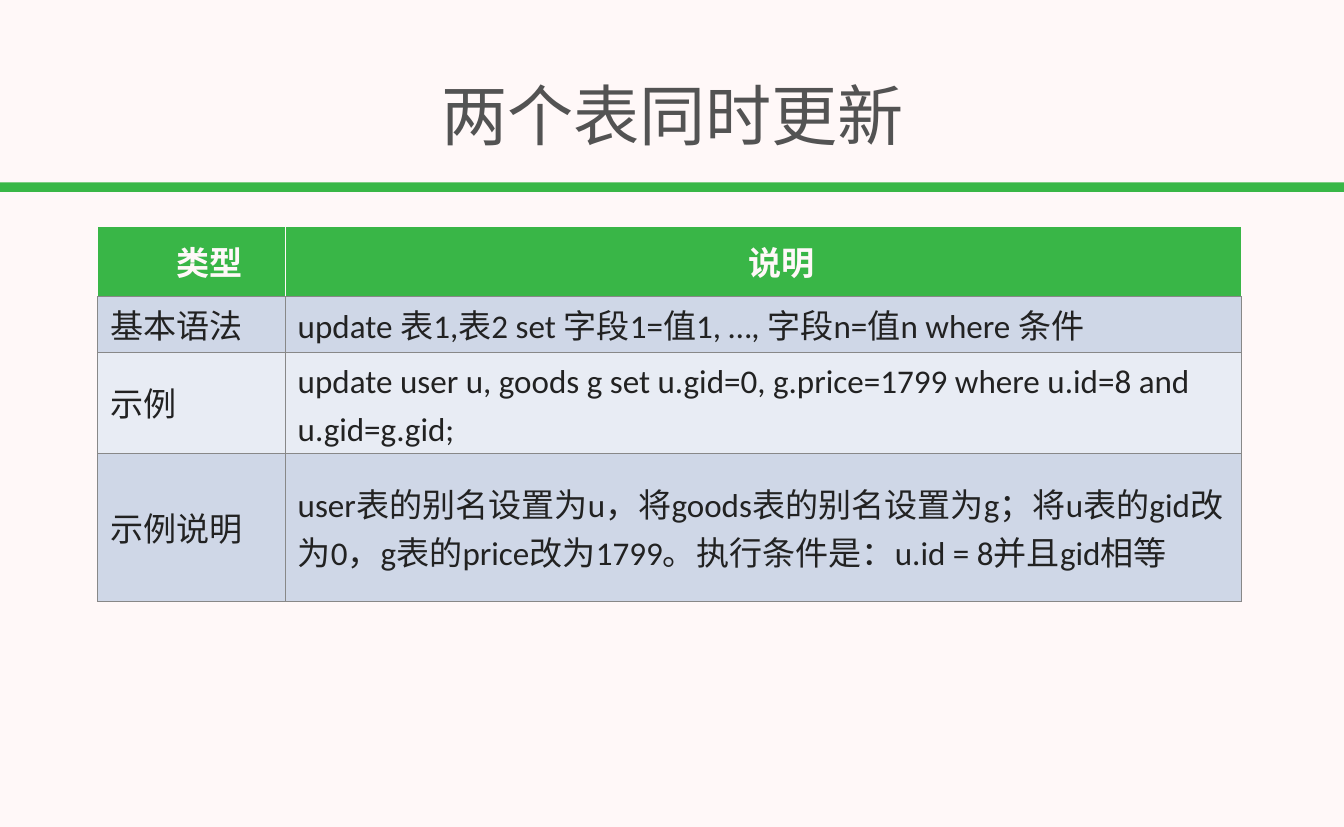
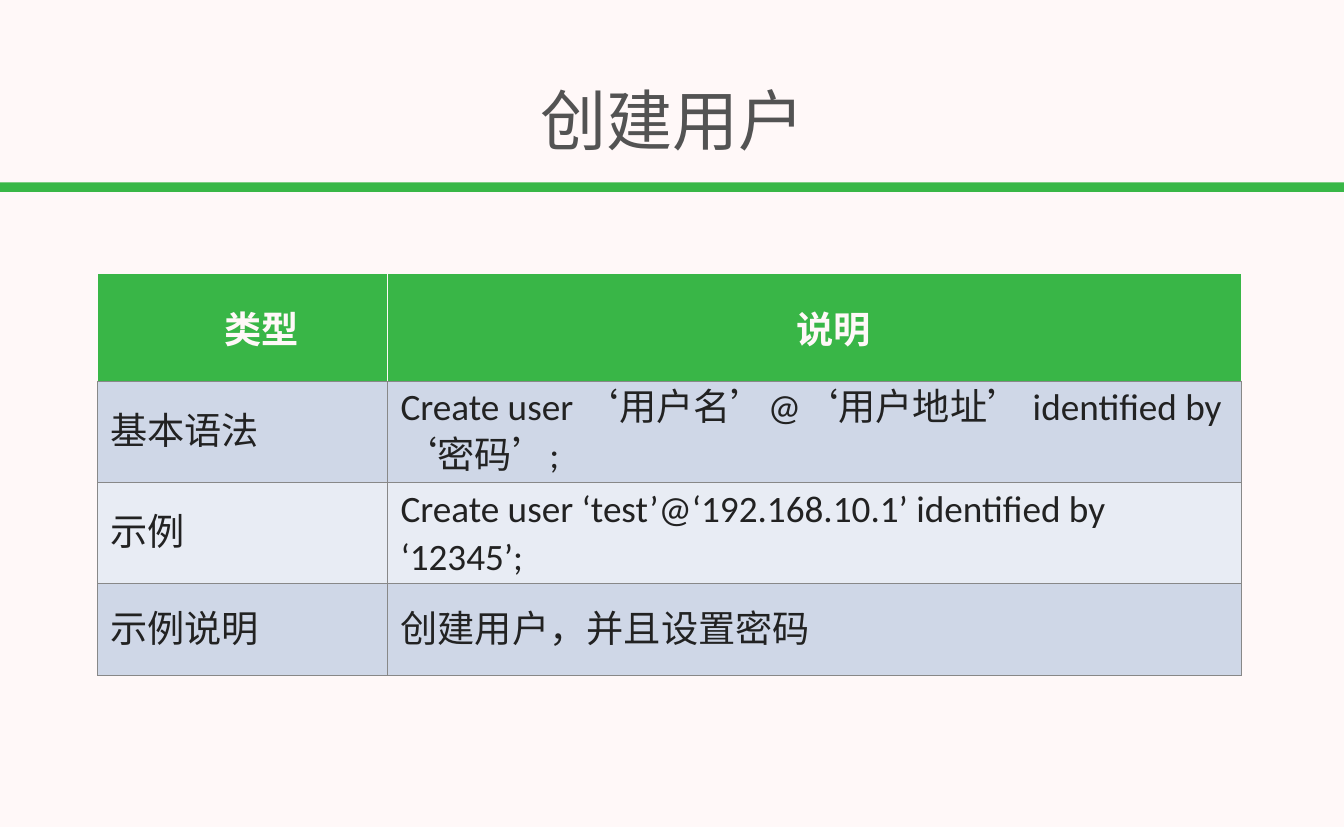
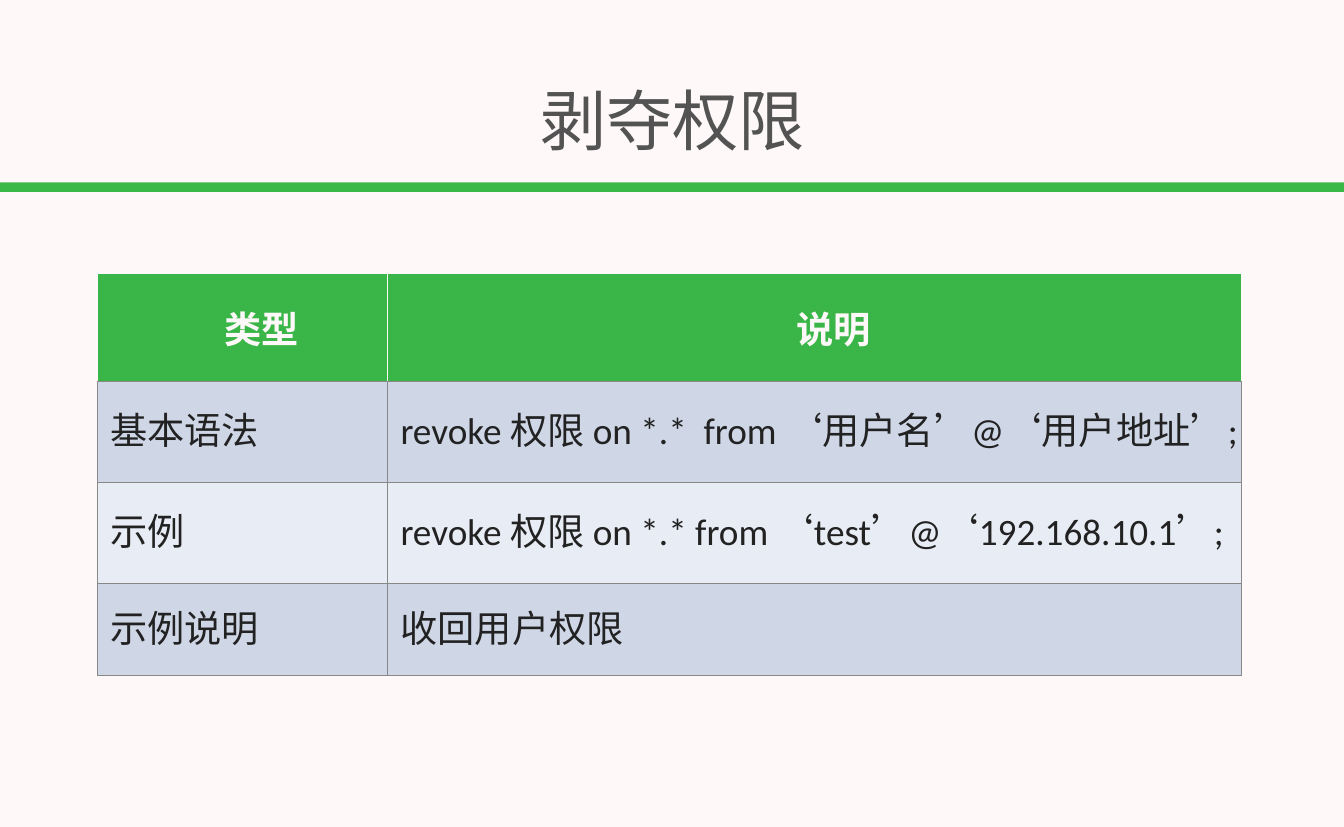
"""Build three slides, each with a title, a green band and a syntax table."""
from pptx import Presentation
from pptx import util as u
from pptx.dml.color import RGBColor
from pptx.enum import shapes, text
from pptx.oxml.ns import qn
from lxml import etree

Cm, Pt = u.Cm, u.Pt
HUES = {
    "page": "FFF8F8",
    "band": "39B747",
    "head": "39B647",
    "title": "535353",
    "ink": "222222",
    "rule": "888888",
    "odd": "CFD7E7",
    "even": "E8ECF4",
}
LABELS = ["基本语法", "示例", "示例说明"]
WIDE, HIGH = 45.87, 28.22
LEFT, SPAN = 3.33, 39.04

TIGHT = {"top": 7.72, "split": 6.4, "rows": [2.41, 1.88, 2.06, 2.06], "size": 32}
LOOSE = {"top": 9.32, "split": 9.91, "rows": [3.68, 2.84, 3.15, 3.15], "size": 36}

PAGES = [
    ("两个表同时更新", 2.08, TIGHT, [
        "update 表1,表2 set 字段1=值1, …, 字段n=值n where 条件",
        "update user u, goods g set u.gid=0, g.price=1799 where u.id=8 and u.gid=g.gid;",
        "user表的别名设置为u，将goods表的别名设置为g；将u表的gid改为0，"
        "g表的price改为1799。执行条件是：u.id = 8并且gid相等",
    ]),
    ("创建用户", 2.24, LOOSE, [
        "Create user ‘用户名’@‘用户地址’ identified by ‘密码’;",
        "Create user ‘test’@‘192.168.10.1’ identified by ‘12345’;",
        "创建用户，并且设置密码",
    ]),
    ("剥夺权限", 2.24, LOOSE, [
        "revoke 权限 on *.*  from ‘用户名’@‘用户地址’;",
        "revoke 权限 on *.* from ‘test’@‘192.168.10.1’;",
        "收回用户权限",
    ]),
]


def hue(name):
    return RGBColor.from_string(HUES[name])


def write(frame, words, size, ink, bold=False, align=text.PP_ALIGN.LEFT,
          pitch=None, indent=None):
    para = frame.paragraphs[0]
    para.alignment = align
    if pitch:
        para.line_spacing = Pt(pitch)
    if indent:
        props = para._p.get_or_add_pPr()
        props.set("marL", "0")
        props.set("indent", str(Cm(indent)))
    run = para.add_run()
    run.text = words
    run.font.name = "Calibri"
    run.font.size = Pt(size)
    run.font.bold = bold
    run.font.color.rgb = hue(ink)


def inset(box, side, end):
    box.margin_left = box.margin_right = Cm(side)
    box.margin_top = box.margin_bottom = Cm(end)


class Deck:
    def __init__(self):
        self.show = Presentation()
        self.show.slide_width = Cm(WIDE)
        self.show.slide_height = Cm(HIGH)
        fill = self.show.slide_master.background.fill
        fill.solid()
        fill.fore_color.rgb = hue("page")
        self.slide = None

    def page(self, words, top):
        self.slide = self.show.slides.add_slide(self.show.slide_layouts[5])
        self.band()
        title = self.slide.shapes.title
        title.left, title.top = Cm(0.13), Cm(top)
        title.width, title.height = Cm(45.64), Cm(3.61)
        frame = title.text_frame
        frame.word_wrap = True
        frame.auto_size = text.MSO_AUTO_SIZE.NONE
        frame.vertical_anchor = text.MSO_ANCHOR.MIDDLE
        inset(frame, 0.13, 0.13)
        write(frame, words, 64, "title", align=text.PP_ALIGN.CENTER)

    def band(self):
        bar = self.slide.shapes.add_shape(
            shapes.MSO_SHAPE.RECTANGLE, Cm(-0.03), Cm(6.22), Cm(45.93), Cm(0.33))
        bar.shadow.inherit = False
        bar.fill.solid()
        bar.fill.fore_color.rgb = hue("band")
        bar.line.fill.background()

    def edge(self, cell, hues):
        props = cell._tc.get_or_add_tcPr()
        for side, name in zip("LRTB", hues):
            line = etree.SubElement(props, qn(f"a:ln{side}"), w=str(Pt(1)))
            fill = etree.SubElement(line, qn("a:solidFill"))
            etree.SubElement(fill, qn("a:srgbClr"), val=HUES[name])

    def cell(self, cell, words, size, row):
        cell.vertical_anchor = text.MSO_ANCHOR.MIDDLE
        if row == 0:
            inset(cell, 0, 0)
            self.edge(cell, ["page", "page", "page", "rule"])
            write(cell.text_frame, words, size, "page", bold=True,
                  align=text.PP_ALIGN.CENTER, indent=1.27)
            name = "head"
        else:
            inset(cell, 0.43, 0.1)
            self.edge(cell, ["rule"] * 4)
            write(cell.text_frame, words, size, "ink", pitch=46)
            name = "odd" if row % 2 else "even"
        cell.fill.solid()
        cell.fill.fore_color.rgb = hue(name)

    def table(self, notes, top, split, rows, size):
        grid = self.slide.shapes.add_table(
            len(rows), 2, Cm(LEFT), Cm(top), Cm(SPAN), Cm(sum(rows))).table
        for col, width in zip(grid.columns, (split, SPAN - split)):
            col.width = Cm(width)
        lines = [("类型", "说明"), *zip(LABELS, notes)]
        for r, (line, height) in enumerate(zip(lines, rows)):
            grid.rows[r].height = Cm(height)
            for c, words in enumerate(line):
                self.cell(grid.cell(r, c), words, size, r)


def main():
    deck = Deck()
    for title, top, style, notes in PAGES:
        deck.page(title, top)
        deck.table(notes, **style)
    deck.show.save("out.pptx")


if __name__ == "__main__":
    main()
